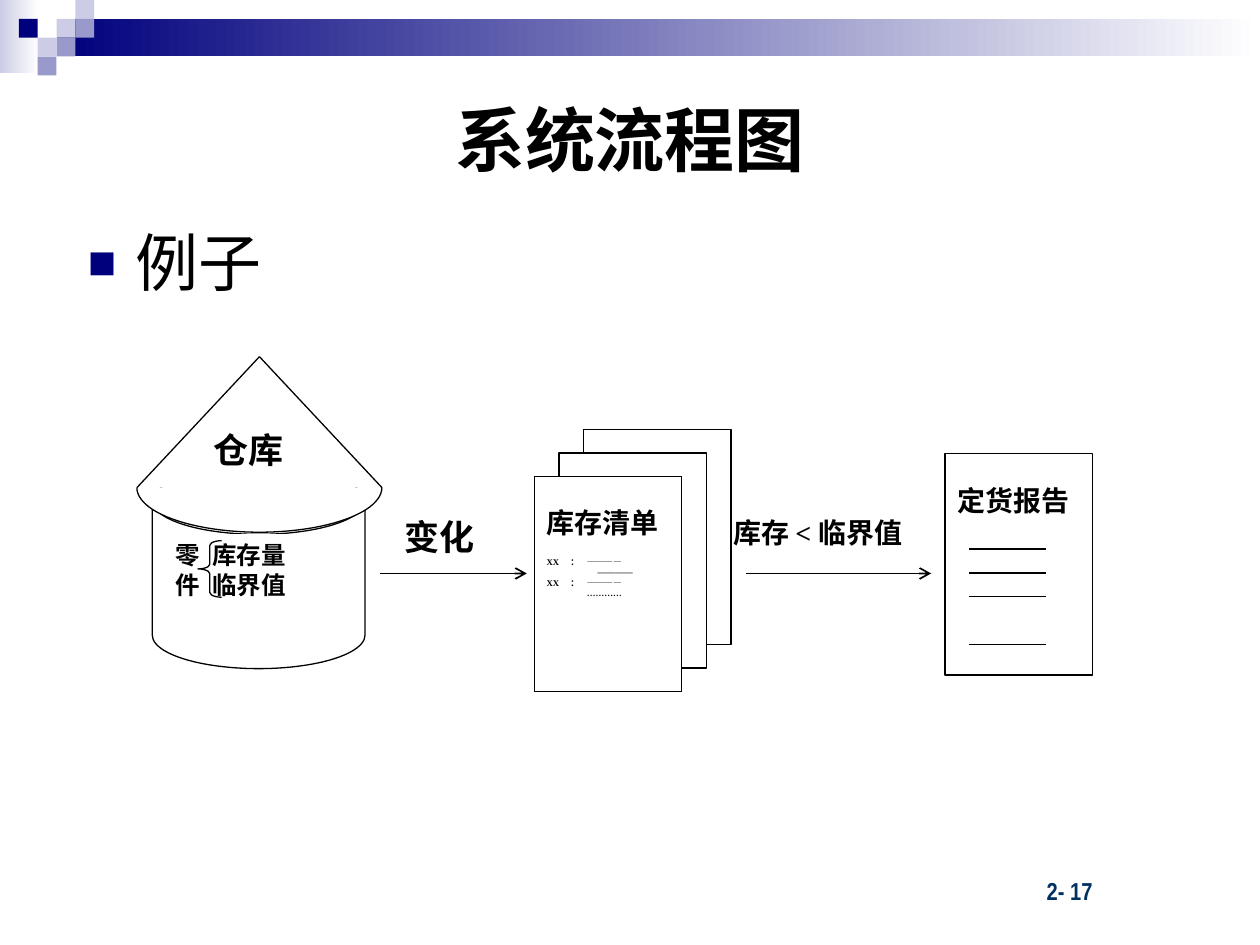
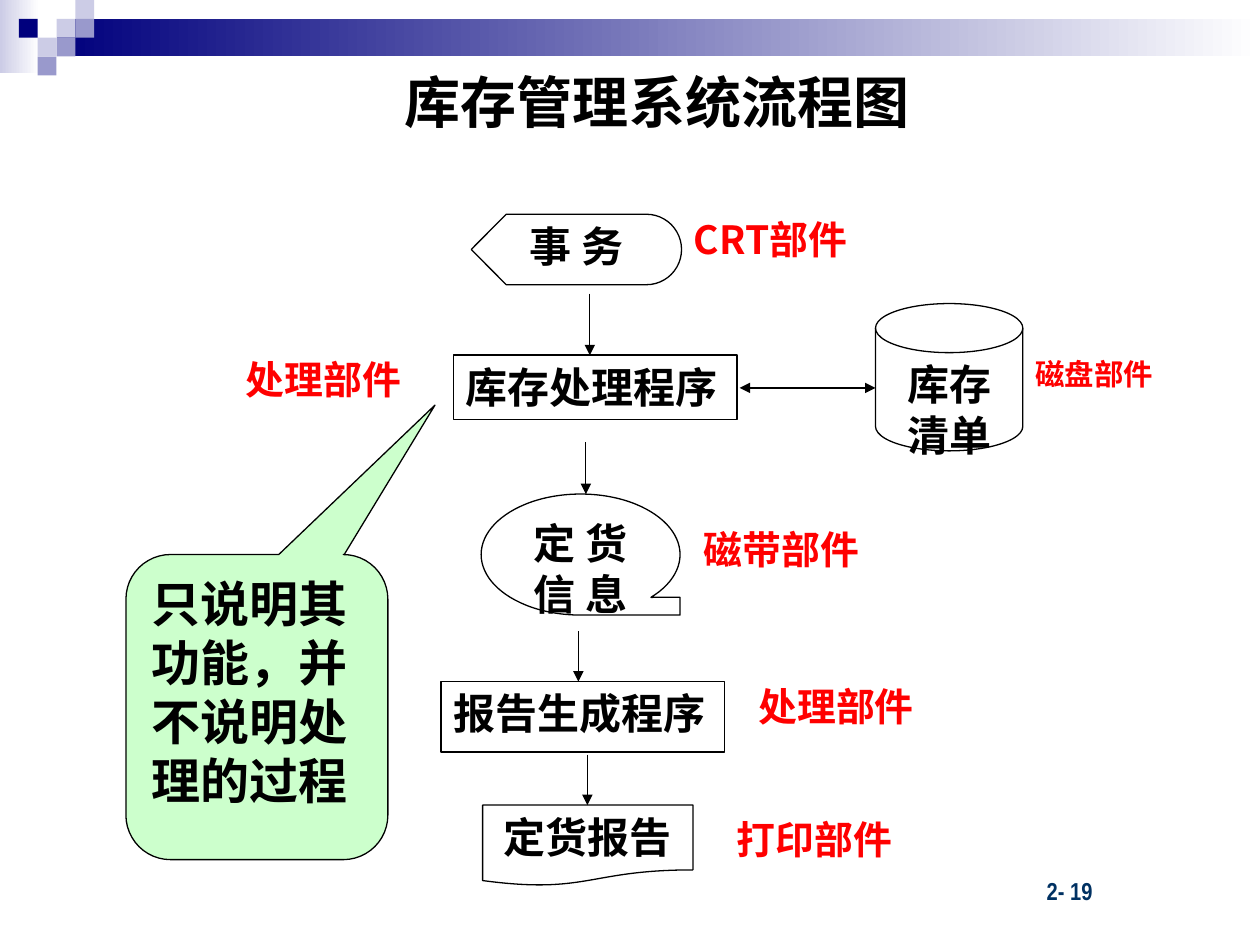
from math import cos, pi, sin

from lxml.etree import SubElement
from pptx import Presentation
from pptx.dml.color import RGBColor
from pptx.enum.shapes import MSO_CONNECTOR, MSO_SHAPE as S
from pptx.enum.text import MSO_ANCHOR, PP_ALIGN
from pptx.oxml.ns import qn
from pptx.util import Cm, Pt

HUES = {
    "white": "FFFFFF", "black": "000000", "navy": "00007D", "mid": "9999CC",
    "pale": "CCCCE6", "page": "003162", "red": "FF0000", "green": "CCFFCC",
}
SANS, TIMES = "Noto Sans CJK SC", "Times New Roman"


def hue(name):
    return RGBColor.from_string(HUES[name])


def put(slide, kind, box, text="", fill=None, line=None, size=16, font=SANS,
        color="black", bold=True, mid=False, anchor=MSO_ANCHOR.TOP,
        space=None, tabs=(), bullet=None):
    """Add a shape, or a text box if kind is None; a fill pair is a gradient."""
    box = [Cm(v) for v in box]
    if kind is None:
        shape = slide.shapes.add_textbox(*box)
    else:
        shape = slide.shapes.add_shape(kind, *box)
        shape.shadow.inherit = False
        if isinstance(fill, tuple):
            shape.fill.gradient()
            shape.fill.gradient_angle = 0
            for stop, name in zip(shape.fill.gradient_stops, fill):
                stop.color.rgb = hue(name)
        elif fill:
            shape.fill.solid()
            shape.fill.fore_color.rgb = hue(fill)
        else:
            shape.fill.background()
        if line:
            shape.line.color.rgb = hue(line)
            shape.line.width = Pt(0.75)
        else:
            shape.line.fill.background()
    if not text:
        return shape

    frame = shape.text_frame
    frame.word_wrap = True
    frame.vertical_anchor = anchor
    for i, row in enumerate(text.split("\n")):
        para = frame.add_paragraph() if i else frame.paragraphs[0]
        para.alignment = PP_ALIGN.CENTER if mid else PP_ALIGN.LEFT
        if space:
            para.line_spacing = space
        run = para.add_run()
        run.text = row
        run.font.size, run.font.bold, run.font.name = Pt(size), bold, font
        run.font.color.rgb = hue(color)
        SubElement(run._r.get_or_add_rPr(), qn("a:ea"), typeface=SANS)
        props = para._p.get_or_add_pPr()
        if bullet:
            para.space_before = Pt(9)
            props.set("marL", str(Cm(0.97)))
            props.set("indent", str(-Cm(0.97)))
            tint = SubElement(props, qn("a:buClr"))
            SubElement(tint, qn("a:srgbClr"), val=HUES["navy"])
            SubElement(props, qn("a:buSzPct"), val="75000")
            SubElement(props, qn("a:buFont"), typeface="Arial")
            SubElement(props, qn("a:buChar"), char=bullet)
        if tabs:
            stops = SubElement(props, qn("a:tabLst"))
            for pos in tabs:
                SubElement(stops, qn("a:tab"), pos=str(Cm(pos)), algn="l")
    return shape


def link(slide, x1, y1, x2, y2, width=0.75, head=None, tail=None):
    """Draw a straight line; head sits at its start and tail at its end."""
    rule = slide.shapes.add_connector(
        MSO_CONNECTOR.STRAIGHT, Cm(x1), Cm(y1), Cm(x2), Cm(y2))
    rule.line.color.rgb = hue("black")
    rule.line.width = Pt(width)
    stroke = rule.line._get_or_add_ln()
    for tag, tip in (("a:headEnd", head), ("a:tailEnd", tail)):
        if tip:
            SubElement(stroke, qn(tag), type=tip)
    SubElement(rule._element.spPr, qn("a:effectLst"))


prs = Presentation()
prs.slide_width, prs.slide_height = Cm(25.4), Cm(19.05)

# Bands, squares, title and page number of both slides
UNIT = 0.38
TILES = [(3, 1, "pale"), (4, 0, "pale"), (4, 1, "mid"), (2, 2, "pale"),
         (1, 1, "navy"), (3, 2, "mid"), (2, 3, "mid")]
HEADS = [
    ("2- 17", "系统流程图", (1.27, 1.27, 22.86, 3.05),
     dict(size=40, font="Arial", anchor=MSO_ANCHOR.MIDDLE)),
    ("2- 19", "库存管理系统流程图", (5.11, 1.24, 16.28, 1.63), dict(size=32)),
]
for page, title, box, look in HEADS:
    slide = prs.slides.add_slide(prs.slide_layouts[6])
    put(slide, S.RECTANGLE, (0, 0, 0.79, 1.47), fill=("pale", "white"))
    put(slide, S.RECTANGLE, (3 * UNIT, UNIT, 24.26, 2 * UNIT),
        fill=("navy", "white"))
    for col, row, name in TILES:
        put(slide, S.RECTANGLE, (col * UNIT, row * UNIT, UNIT, UNIT), fill=name)
    put(slide, None, (20.85, 17.53, 2.9, 0.84), page, size=14,
        font="Arial Narrow", color="page")
    put(slide, None, box, title, mid=True, **look)
stock, flow = prs.slides

# Slide 1: the warehouse
put(stock, None, (1.52, 4.39, 22.38, 12.32), "例子", size=36, font="Arial",
    bold=False, bullet="■")
ink = dict(fill="white", line="black")
put(stock, S.FLOWCHART_MAGNETIC_DISK, (3.07, 9.42, 4.29, 4.06), **ink)
midx, eave, top, half, drop = 5.23, 9.83, 7.19, 2.47, 0.9
put(stock, S.ISOSCELES_TRIANGLE, (midx - half, top, 2 * half, eave - top),
    fill="white")
put(stock, S.RECTANGLE, (4.06, 8.51, 2.29, 1.37), "仓库", fill="white",
    line="white", size=20, font=TIMES)
put(stock, S.RECTANGLE, (3.28, 10.77, 3.66, 2.26), "零\t库存量\n件\t临界值",
    fill="white", size=14, font=TIMES, tabs=[0.75])
brace = put(stock, S.LEFT_BRACE, (3.99, 10.9, 0.48, 1.14), line="black")
brace.adjustments[0] = 0.2

steps = 48
arc = [(Cm(midx + half * cos(pi * i / steps)),
        Cm(eave + drop * sin(pi * i / steps))) for i in range(steps + 1)]
pen = stock.shapes.build_freeform(*arc[0])
pen.add_line_segments(arc[1:], close=False)
rim = pen.convert_to_shape()
rim.shadow.inherit = False
rim.fill.solid()
rim.fill.fore_color.rgb = hue("white")
rim.line.color.rgb = hue("black")
rim.line.width = Pt(0.75)
for side in (-half, half):
    link(stock, midx + side, eave, midx, top)

# Slide 1: stock list and order report
for i in range(3):
    put(stock, S.RECTANGLE, (11.77 - 0.5 * i, 8.66 + 0.47 * i, 2.97, 4.34), **ink)
put(stock, S.RECTANGLE, (19.05, 9.14, 2.97, 4.47), **ink)
for text, box, look in [
    ("变化", (7.9, 10.44, 2.46, 0.97), dict(size=20, space=0.8)),
    ("库存清单", (10.77, 10.11, 2.9, 1), dict(space=0.96)),
    ("XX\t：\t————\n\t\t\t————\nXX\t：\t————\n\t\t…………",
     (10.77, 11.1, 2.9, 1.5), dict(size=5, tabs=[0.48, 0.81, 1.03])),
    ("库存 < 临界值", (14.53, 10.26, 4.65, 1.45), {}),
    ("定货报告", (19.05, 9.63, 2.9, 1.45), {}),
]:
    put(stock, None, box, text, font=TIMES, **look)
for x1, x2 in [(7.67, 10.62), (15.04, 18.77)]:
    link(stock, x1, 11.56, x2, 11.56, width=1, tail="arrow")
for i in (0, 1, 2, 4):
    link(stock, 19.53, 11.07 + 0.48 * i, 21.08, 11.07 + 0.48 * i)

# Slide 2: parts of the flow and their red names
for kind, box, text, mid in [
    (S.FLOWCHART_DISPLAY, (9.5, 4.32, 4.24, 1.42), "事 务", True),
    (S.FLOWCHART_SEQUENTIAL_ACCESS_STORAGE, (9.7, 9.96, 4.01, 2.44),
     "定 货\n信 息", True),
    (S.FLOWCHART_MAGNETIC_DISK, (17.65, 6.12, 2.97, 2.97), "库存清单", True),
    (S.RECTANGLE, (9.14, 7.16, 5.72, 1.3), "库存处理程序", False),
    (S.RECTANGLE, (8.89, 13.74, 5.72, 1.42), "报告生成程序", False),
    (S.FLOWCHART_DOCUMENT, (9.73, 16.23, 4.24, 1.63), "定货报告", True),
]:
    put(flow, kind, box, text, line="black", size=24, mid=mid)

for x, y, text, size, space in [
    (13.74, 4.32, "CRT部件", 22.2, 0.9),
    (13.94, 10.57, "磁带部件", 22.2, 0.9),
    (20.62, 7.19, "磁盘部件", 16.8, 0.8),
    (4.7, 7.16, "处理部件", 22.2, 0.9),
    (15.04, 13.74, "处理部件", 22.2, 0.9),
    (14.6, 16.43, "打印部件", 22.2, 0.9),
]:
    put(flow, None, (x, y, 4.24, 1.22), text, size=size, color="red", space=space)

for x, y1, y2 in [(11.89, 5.92, 7.16), (11.81, 8.92, 9.96),
                  (11.66, 12.73, 13.74), (11.84, 15.21, 16.23)]:
    link(flow, x, y1, x, y2, tail="triangle")
link(flow, 14.91, 7.82, 17.65, 7.82, head="triangle", tail="triangle")

note = put(flow, S.ROUNDED_RECTANGULAR_CALLOUT, (2.54, 11.18, 5.28, 6.15),
           "只说明其功能，并不说明处理的过程", fill="green", line="black", size=28)
for i, value in enumerate((0.68, -0.99, 0.17)):
    note.adjustments[i] = value

prs.save("out.pptx")
